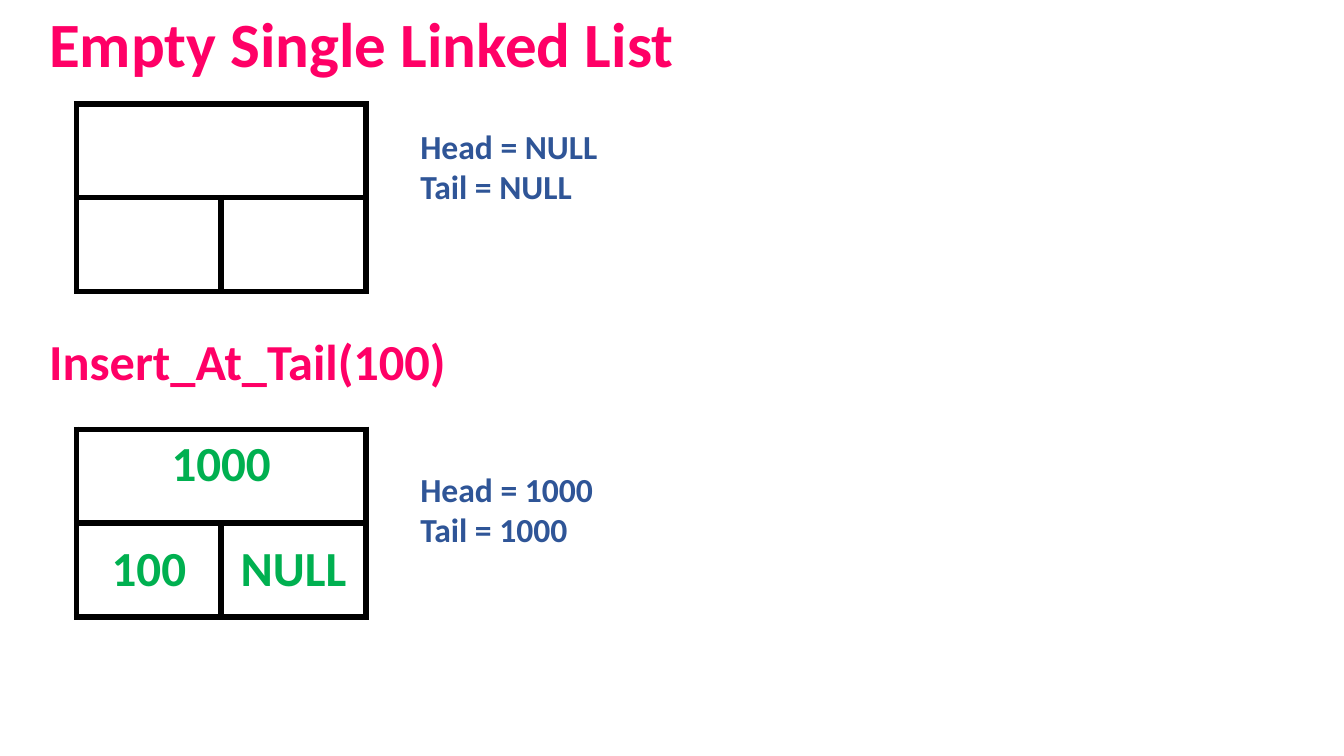
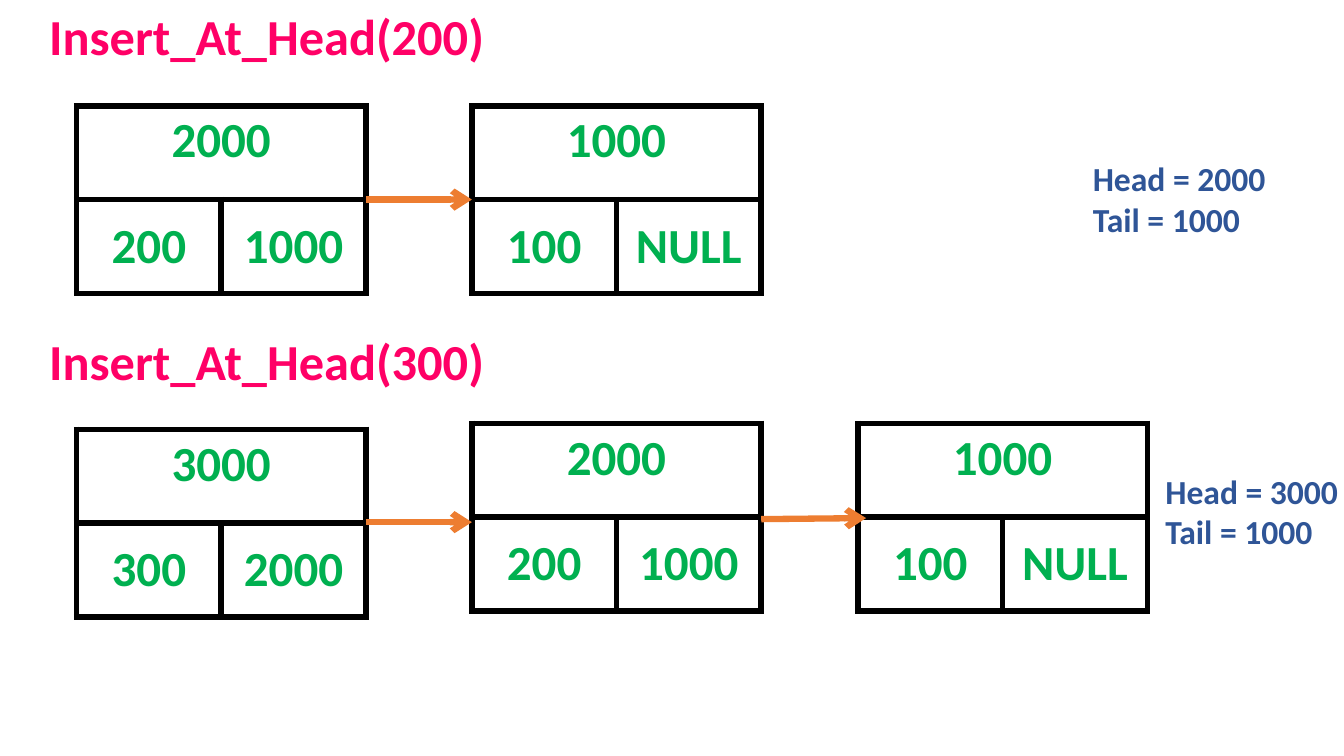
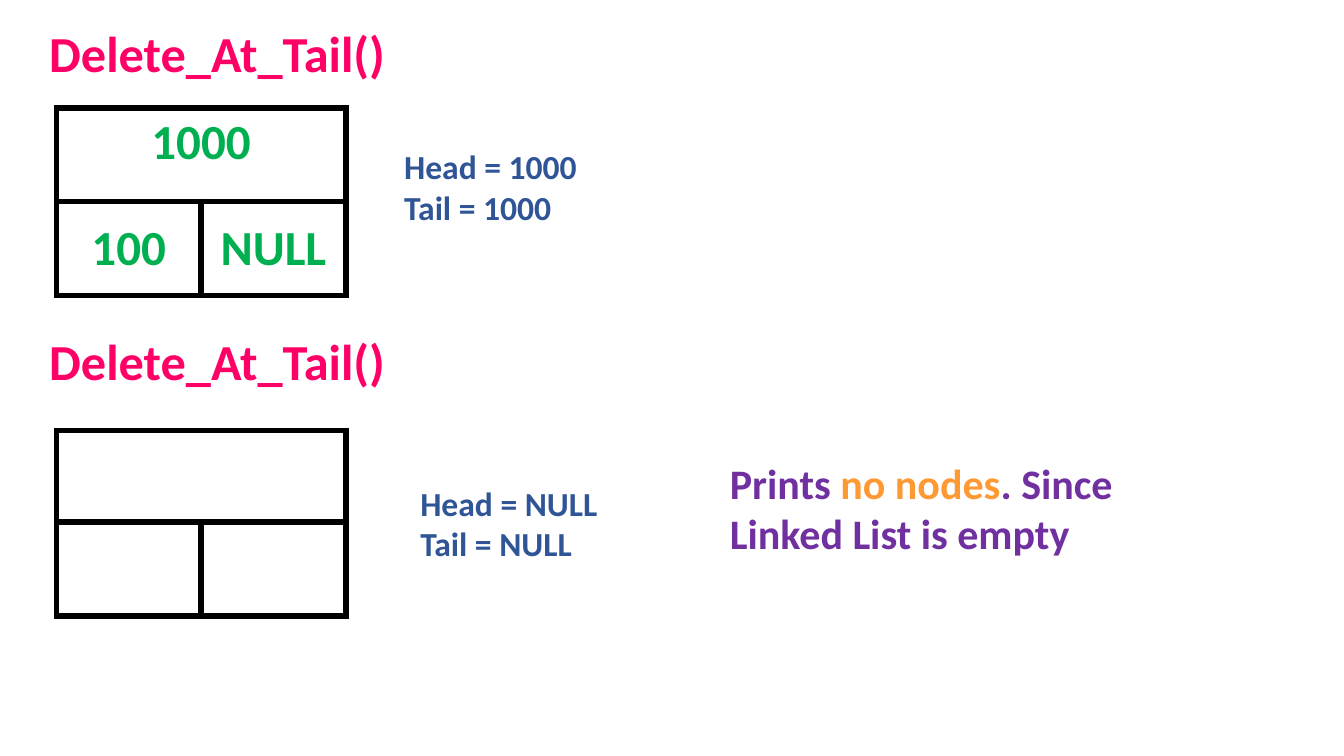
from dataclasses import dataclass

from lxml import etree
from pptx import Presentation
from pptx import util as u
from pptx.dml.color import RGBColor
from pptx.enum import shapes, text
from pptx.oxml import ns


@dataclass(frozen=True)
class Theme:
    font: str = "Calibri"
    heading: str = "FF0066"
    pointer: str = "2F5597"
    value: str = "00B050"
    note: str = "7030A0"
    accent: str = "FF9933"
    arrow: str = "ED7D31"
    border: str = "000000"
    fill: str = "FFFFFF"
    title_size: float = 45
    heading_size: float = 36
    value_size: float = 35
    note_size: float = 30
    pointer_size: float = 24
    line_width: float = 4.5


NODE_W, ROW_H = 2.87, 0.93
HEADING_X, LOWER_HEADING_Y = 0.39, 3.23


class Deck:
    def __init__(self, theme):
        self.theme = theme
        self.prs = Presentation()
        self.prs.slide_width = u.Inches(13.33)
        self.prs.slide_height = u.Inches(7.5)
        self.s = None

    def new_slide(self):
        self.s = self.prs.slides.add_slide(self.prs.slide_layouts[6])

    def style(self, r, size, color):
        r.font.name = self.theme.font
        r.font.size = u.Pt(size)
        r.font.bold = True
        r.font.color.rgb = RGBColor.from_string(color)

    def text_box(self, x, y, w, h, paragraphs, size):
        """Each paragraph is a list of (text, colour) runs."""
        sp = self.s.shapes.add_textbox(*map(u.Inches, (x, y, w, h)))
        tf = sp.text_frame
        tf.word_wrap = True
        for i, runs in enumerate(paragraphs):
            p = tf.paragraphs[0] if i == 0 else tf.add_paragraph()
            for words, color in runs:
                r = p.add_run()
                r.text = words
                self.style(r, size, color)

    def heading(self, y, words, w=8.96, h=0.71, size=None):
        self.text_box(HEADING_X, y, w, h, [[(words, self.theme.heading)]],
                      size or self.theme.heading_size)

    def pointers(self, x, y, head, tail, w=2.3):
        color = self.theme.pointer
        self.text_box(x, y, w, 0.91,
                      [[(f"Head = {head}", color)], [(f"Tail = {tail}", color)]],
                      self.theme.pointer_size)

    def border(self, cell):
        tc_pr = cell._tc.get_or_add_tcPr()
        for side in ("a:lnL", "a:lnR", "a:lnT", "a:lnB"):
            ln = etree.SubElement(tc_pr, ns.qn(side), w=str(u.Pt(self.theme.line_width)))
            fill = etree.SubElement(ln, ns.qn("a:solidFill"))
            etree.SubElement(fill, ns.qn("a:srgbClr"), val=self.theme.border)

    def node(self, x, y, address="", data="", link="", top_h=ROW_H):
        """A list node: its address above its data and the next address."""
        table = self.s.shapes.add_table(
            2, 2, *map(u.Inches, (x, y, NODE_W, top_h + ROW_H))).table
        table.first_row = table.horz_banding = False
        table.rows[0].height = u.Inches(top_h)
        table.rows[1].height = u.Inches(ROW_H)
        for cell in table.iter_cells():
            self.border(cell)
            cell.fill.solid()
            cell.fill.fore_color.rgb = RGBColor.from_string(self.theme.fill)
        table.cell(0, 0).merge(table.cell(0, 1))
        for row, col, words in ((0, 0, address), (1, 0, data), (1, 1, link)):
            if not words:
                continue
            cell = table.cell(row, col)
            if row:
                cell.vertical_anchor = text.MSO_ANCHOR.MIDDLE
            p = cell.text_frame.paragraphs[0]
            p.text = words
            p.alignment = text.PP_ALIGN.CENTER
            self.style(p.runs[0], self.theme.value_size, self.theme.value)

    def arrow(self, x1, y1, x2, y2):
        c = self.s.shapes.add_connector(shapes.MSO_CONNECTOR.STRAIGHT,
                                        *map(u.Inches, (x1, y1, x2, y2)))
        c.line.color.rgb = RGBColor.from_string(self.theme.arrow)
        c.line.width = u.Pt(self.theme.line_width)
        etree.SubElement(c.line._get_or_add_ln(), ns.qn("a:tailEnd"), type="arrow")
        etree.SubElement(c._element.spPr, ns.qn("a:effectLst"))


def first_insert(d):
    d.new_slide()
    d.heading(0, "Empty Single Linked List", 6.67, 0.86, d.theme.title_size)
    d.node(0.76, 1.03)
    d.pointers(4.07, 1.2, "NULL", "NULL")
    d.heading(LOWER_HEADING_Y, "Insert_At_Tail(100)")
    d.node(0.76, 4.26, "1000", "100", "NULL")
    d.pointers(4.07, 4.6, "1000", "1000")


def head_inserts(d):
    d.new_slide()
    d.heading(0, "Insert_At_Head(200)", 6.67)
    d.node(0.76, 1.05, "2000", "200", "1000")
    d.node(4.68, 1.05, "1000", "100", "NULL")
    d.arrow(3.63, 1.98, 4.68, 1.98)
    d.pointers(10.74, 1.52, "2000", "1000")
    d.heading(LOWER_HEADING_Y, "Insert_At_Head(300)")
    d.node(0.76, 4.26, "3000", "300", "2000")
    d.node(4.68, 4.2, "2000", "200", "1000")
    d.node(8.51, 4.2, "1000", "100", "NULL")
    d.arrow(3.63, 5.18, 4.68, 5.18)
    d.arrow(7.55, 5.15, 8.59, 5.14)
    d.pointers(11.46, 4.62, "3000", "1000", 2.07)


def tail_deletes(d):
    d.new_slide()
    d.heading(0.17, "Delete_At_Tail()", 6.67)
    d.node(0.56, 1.07, "1000", "100", "NULL")
    d.pointers(3.91, 1.4, "1000", "1000")
    d.heading(LOWER_HEADING_Y, "Delete_At_Tail()")
    d.node(0.56, 4.27, top_h=0.91)
    d.pointers(4.07, 4.74, "NULL", "NULL")
    note, accent = d.theme.note, d.theme.accent
    d.text_box(7.14, 4.49, 4.42, 1.11,
               [[("Prints ", note), ("no nodes", accent),
                 (". Since Linked List is empty", note)]], d.theme.note_size)


def main():
    d = Deck(Theme())
    for build in (first_insert, head_inserts, tail_deletes):
        build(d)
    d.prs.save("out.pptx")


if __name__ == "__main__":
    main()
